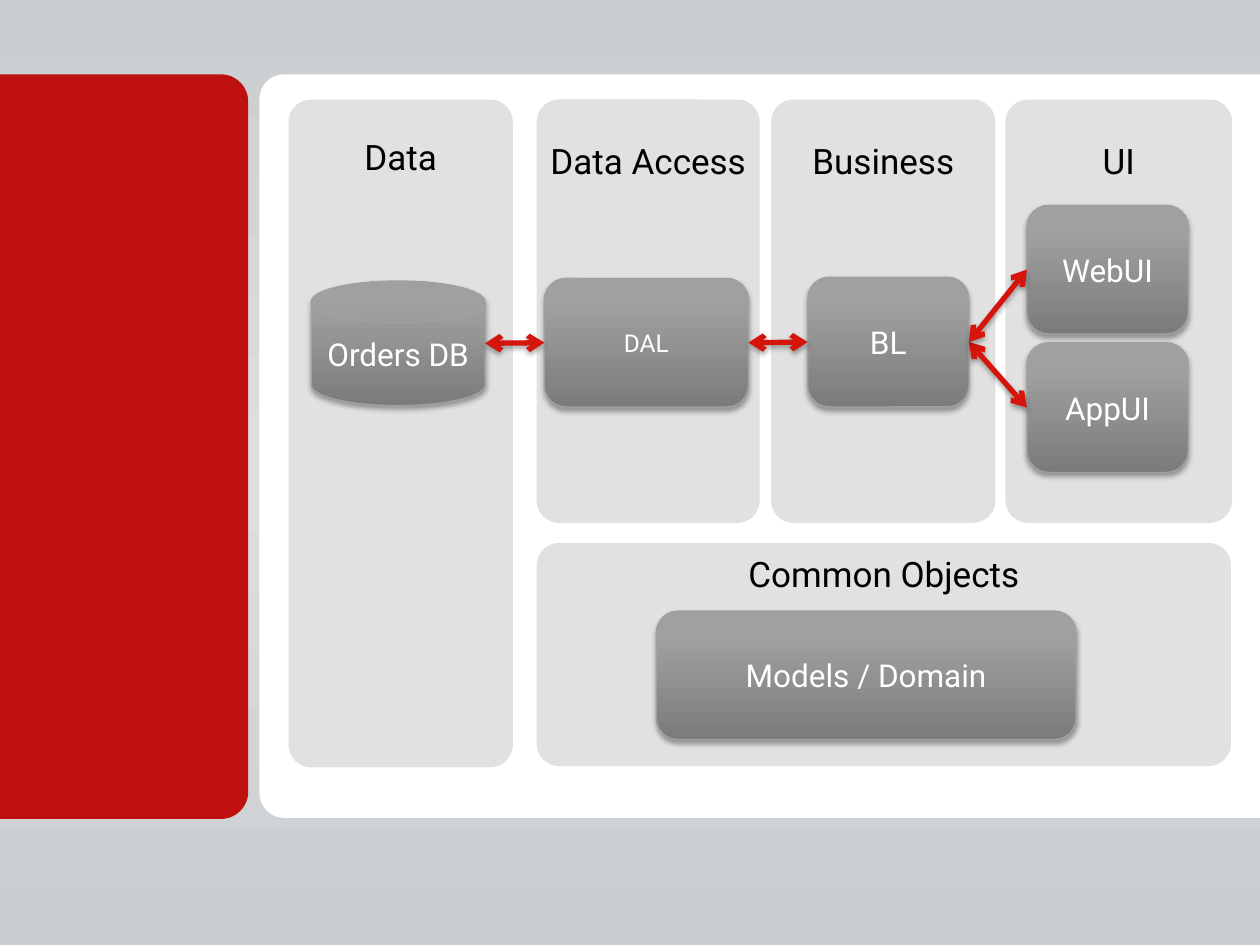
from lxml import etree
from pptx import Presentation
from pptx.dml.color import RGBColor
from pptx.enum.shapes import MSO_CONNECTOR, MSO_SHAPE
from pptx.enum.text import MSO_ANCHOR, PP_ALIGN
from pptx.oxml.ns import qn
from pptx.util import Inches, Pt

ROUND = MSO_SHAPE.ROUNDED_RECTANGLE
HALF = MSO_SHAPE.ROUND_2_SAME_RECTANGLE
DISK = MSO_SHAPE.FLOWCHART_MAGNETIC_DISK
LINE = MSO_CONNECTOR.STRAIGHT
CENTER = PP_ALIGN.CENTER
MIDDLE = MSO_ANCHOR.MIDDLE
LEFT, RIGHT = 1, 3

COLORS = {
    "white": "FFFFFF", "black": "000000", "red": "BE100F", "panel": "E0E1E0",
    "edge": "A0A1A0", "arrow": "D5140B",
}
BACK = [(0, "CACED1", 100), (50, "DBDFE2", 84), (100, "CACED1", 100)]
STEEL = [(0, "7A7B7A", 100), (80, "9FA09F", 100), (100, "9FA19F", 100)]


def color(name):
    return RGBColor.from_string(COLORS[name])


def add(parent, tag, **attrs):
    return etree.SubElement(parent, qn(tag), {k: str(v) for k, v in attrs.items()})


def tint(parent, value, alpha):
    node = add(parent, "a:srgbClr", val=value)
    if alpha < 100:
        add(node, "a:alpha", val=alpha * 1000)


def blend(fill, node, stops, angle):
    """Give fill, which lies within node, a linear gradient."""
    fill.gradient()
    grad = node.find(".//" + qn("a:gradFill"))
    for child in list(grad):
        grad.remove(child)
    group = add(grad, "a:gsLst")
    for pos, value, alpha in stops:
        tint(add(group, "a:gs", pos=pos * 1000), value, alpha)
    add(grad, "a:lin", ang=angle * 60000, scaled=0)


def shade(effects):
    """Fill an effect list with the soft drop shadow."""
    node = add(effects, "a:outerShdw", blurRad=Pt(3.1), dist=Pt(1.8),
               dir=90 * 60000, rotWithShape=0)
    tint(node, COLORS["black"], 35)


def write(shape, text, size=18, ink="white", space=None, inset=0.05):
    frame = shape.text_frame
    frame.word_wrap = True
    frame.vertical_anchor = MIDDLE
    frame.margin_left = frame.margin_right = Inches(0.1)
    frame.margin_top = frame.margin_bottom = Inches(inset)
    para = frame.paragraphs[0]
    para.alignment = CENTER
    para.line_spacing = space
    run = para.add_run()
    run.text = text
    run.font.name = "Roboto"
    run.font.size = Pt(size)
    run.font.color.rgb = color(ink)


class Deck:
    """Holds the presentation, its current slide and the drawing style."""

    def __init__(self):
        self.show = Presentation()
        self.show.slide_width = Inches(10)
        self.show.slide_height = Inches(7.5)
        self.slide = self.show.slides.add_slide(self.show.slide_layouts[6])
        blend(self.slide.background.fill, self.slide.element, BACK, 90)

    def shape(self, kind, box, fill=None, adjust=(), turn=0):
        item = self.slide.shapes.add_shape(kind, *map(Inches, box))
        item.shadow.inherit = False
        item.rotation = turn
        for i, value in enumerate(adjust):
            item.adjustments[i] = value
        if fill:
            item.fill.solid()
            item.fill.fore_color.rgb = color(fill)
            item.line.fill.background()
        return item

    def panel(self, box, title, height):
        self.shape(ROUND, box, "panel", [0.1])
        label = self.slide.shapes.add_textbox(*map(Inches, (*box[:3], height)))
        write(label, title, size=20, ink="black", space=0.9, inset=0.1)

    def block(self, box, text, kind=ROUND, size=18):
        item = self.shape(kind, box)
        blend(item.fill, item.element, STEEL, 270)
        item.line.color.rgb = color("edge")
        item.line.width = Pt(0.75)
        shade(item.element.spPr.find(qn("a:effectLst")))
        write(item, text, size)
        return item

    def arrow(self, start, end):
        """Join the left side of start to the right side of end."""
        item = self.slide.shapes.add_connector(
            LINE, start.left, start.top + start.height // 2,
            end.left + end.width, end.top + end.height // 2)
        item.begin_connect(start, LEFT)
        if end.auto_shape_type == ROUND:
            item.end_connect(end, RIGHT)
        item.line.color.rgb = color("arrow")
        item.line.width = Pt(3)
        line = item.element.spPr.find(qn("a:ln"))
        for tag in ("a:headEnd", "a:tailEnd"):
            add(line, tag, type="arrow")
        shade(add(item.element.spPr, "a:effectLst"))


def main():
    deck = Deck()
    deck.shape(HALF, (3.08, -0.43, 5.9, 7.94), "white", (0.033, 0), 270)
    deck.shape(HALF, (-1.97, 2.56, 5.91, 1.97), "red", (0.11, 0), 90)

    deck.panel((2.29, 0.79, 1.78, 5.3), "Data", 0.94)
    for left, width, title in [(4.26, 1.77, "Data Access"),
                               (6.12, 1.78, "Business"), (7.98, 1.8, "UI")]:
        deck.panel((left, 0.79, width, 3.36), title, 1.01)
    deck.panel((4.26, 4.31, 5.51, 1.77), "Common Objects", 0.53)

    store = deck.block((2.47, 2.23, 1.38, 0.99), "Orders DB", DISK)
    access = deck.block((4.32, 2.21, 1.62, 1.02), "DAL", size=14)
    deck.block((5.21, 4.85, 3.33, 1.02), "Models / Domain")
    logic = deck.block((6.41, 2.2, 1.28, 1.03), "BL")
    web = deck.block((8.15, 1.63, 1.28, 1.02), "WebUI")
    app = deck.block((8.15, 2.72, 1.28, 1.03), "AppUI")

    for start, end in [(access, store), (logic, access), (app, logic), (web, logic)]:
        deck.arrow(start, end)
    deck.show.save("out.pptx")


if __name__ == "__main__":
    main()
